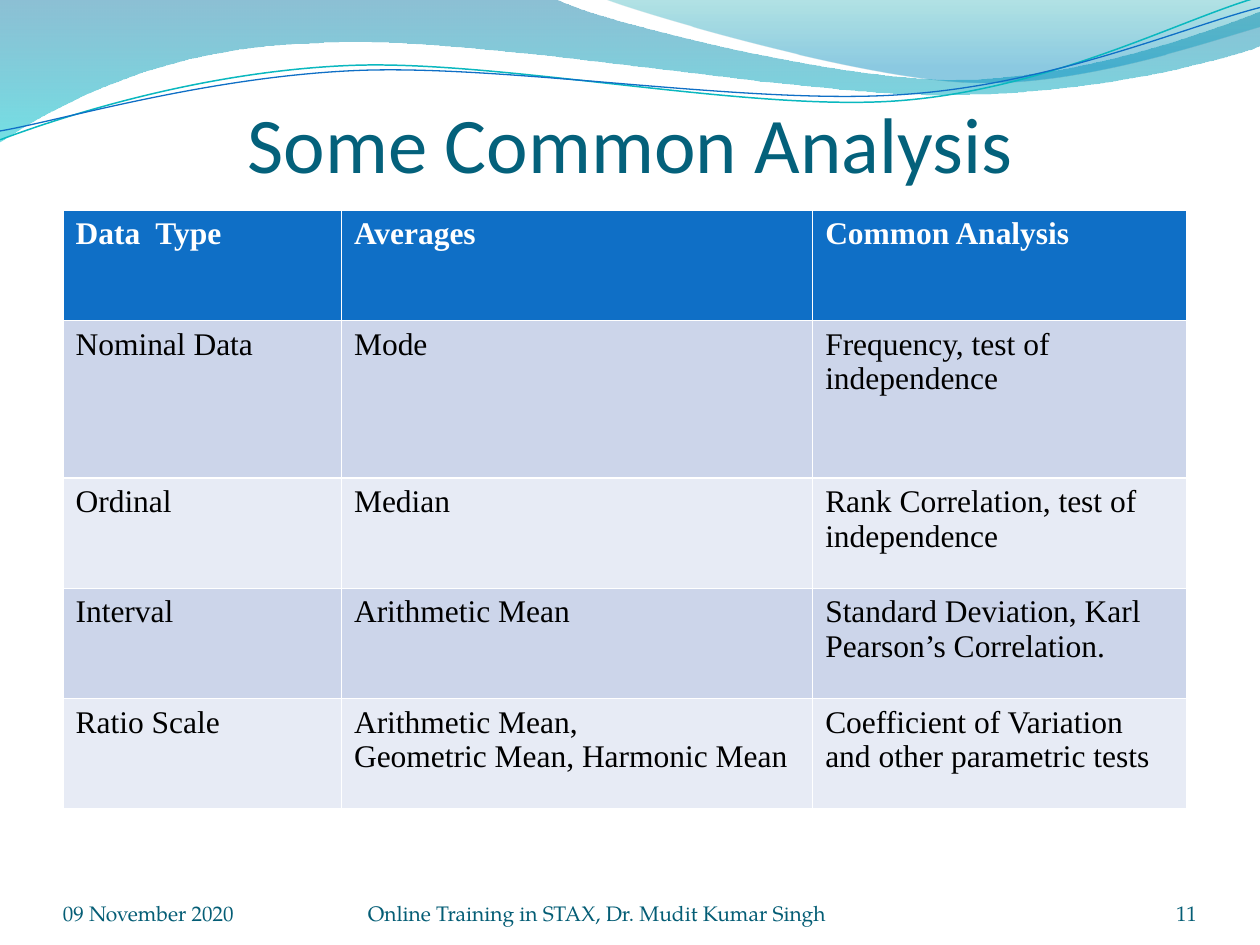
from dataclasses import dataclass
from math import cos, radians, sin

from lxml import etree
from pptx import Presentation
from pptx.dml.color import RGBColor
from pptx.enum.text import MSO_ANCHOR, PP_ALIGN
from pptx.oxml.ns import qn
from pptx.util import Inches, Pt

LEFT, CENTER, RIGHT = PP_ALIGN.LEFT, PP_ALIGN.CENTER, PP_ALIGN.RIGHT
BOTTOM = MSO_ANCHOR.BOTTOM


@dataclass(frozen=True)
class Theme:
    """Colours, fonts and type sizes of the deck."""
    title: str = "04617B"
    footer: str = "045D75"
    header: str = "0F6FC6"
    bands: tuple = ("CCD5EA", "E7EBF5")
    white: str = "FFFFFF"
    black: str = "000000"
    teal_line: str = "0AB8BF"
    blue_line: str = "0F6FC6"
    back_wave: tuple = ((0, "0074A1", 45), (1, "00C6CF", 55))
    front_wave: tuple = ((0, "00A1A9", 30), (0.8, "008BBF", 45))
    title_font: str = "Calibri"
    table_font: str = "Times New Roman"
    footer_font: str = "TeX Gyre Pagella"
    title_size: int = 45
    table_size: int = 18
    footer_size: int = 12


@dataclass(frozen=True)
class Box:
    """A region in inches."""
    left: float
    top: float
    width: float
    height: float

    def emu(self):
        """Return the region as lengths."""
        return [Inches(v) for v in (self.left, self.top, self.width, self.height)]


THEME = Theme()
TILT = 357.3
BACK_WAVE = [(0, 0), (4.4, -0.01), (4.76, 0.17, 6.64, 0.63, 7.58, 0.63),
             (8.53, 0.63, 9.58, 0.26, 10, 0.09), (10.01, 0.36),
             (9.83, 0.44, 8.7, 0.76, 7.46, 0.75),
             (6.22, 0.75, 3.82, 0.28, 2.57, 0.34),
             (1.29, 0.36, 0.46, 0.83, -0.01, 1.13), (0, 0)]
FRONT_WAVE = [(4.79, -0.01), (5.09, 0.11, 6.82, 0.62, 7.69, 0.65),
              (8.56, 0.69, 9.61, 0.32, 10, 0.21), (10, 0), (4.79, -0.01)]
TEAL_CURVE = [(0, 1.11), (0.48, 0.93, 1.58, 0.57, 2.77, 0.52),
              (3.95, 0.47, 5.93, 0.89, 7.13, 0.8),
              (8.33, 0.71, 9.38, 0.15, 9.98, -0.02)]
BLUE_CURVE = [(0, 1.04), (0.47, 0.96, 1.64, 0.61, 2.83, 0.56),
              (4.03, 0.51, 5.97, 0.84, 7.17, 0.75),
              (8.36, 0.67, 9.41, 0.21, 10, 0.06)]
COLUMNS = (2.21, 3.74, 2.97)
TALL_ROW = 1
TALL_HEIGHT = 1.25
ANALYSES = [
    ("Data  Type", "Averages", "Common Analysis"),
    ("Nominal Data", "Mode", "Frequency, test of independence"),
    ("Ordinal", "Median", "Rank Correlation, test of independence"),
    ("Interval", "Arithmetic Mean", "Standard Deviation, Karl Pearson’s Correlation."),
    ("Ratio Scale", "Arithmetic Mean,\nGeometric Mean, Harmonic Mean",
     "Coefficient of Variation and other parametric tests"),
]
FOOTERS = [(0, 2.33, "09 November 2020", LEFT),
           (2.42, 3.67, "Online Training in STAX, Dr. Mudit Kumar Singh", LEFT),
           (8.17, 0.83, "11", RIGHT)]


def rgb(code):
    """Turn a hex code into a colour."""
    return RGBColor.from_string(code)


def turn(segment, center, degrees):
    """Turn the points of a segment about a centre."""
    angle = radians(degrees)
    turned = []
    for x, y in zip(segment[::2], segment[1::2]):
        dx, dy = x - center[0], y - center[1]
        turned += [center[0] + dx * cos(angle) - dy * sin(angle),
                   center[1] + dx * sin(angle) + dy * cos(angle)]
    return turned


def add_outline(slide, box, outline, closed):
    """Draw lines and Bézier segments offset by the box and return the shape."""
    segments = [[Inches(v + (box.top if i % 2 else box.left)) for i, v in enumerate(segment)]
                for segment in outline]
    builder = slide.shapes.build_freeform(*segments[0])
    builder.add_line_segments([segment[-2:] for segment in segments[1:]], close=closed)
    shape = builder.convert_to_shape()
    shape.shadow.inherit = False
    lines = list(shape.element.spPr.iter(qn("a:lnTo")))
    for line, segment in zip(lines, segments[1:]):
        if len(segment) == 6:
            curve = etree.Element(qn("a:cubicBezTo"))
            for x, y in zip(segment[::2], segment[1::2]):
                etree.SubElement(curve, qn("a:pt"), x=str(x - shape.left), y=str(y - shape.top))
            line.getparent().replace(line, curve)
    return shape


def add_waves(slide, box):
    """Draw the shaded waves and the two thin curves."""
    for outline, stops in ((BACK_WAVE, THEME.back_wave), (FRONT_WAVE, THEME.front_wave)):
        wave = add_outline(slide, box, outline, True)
        wave.line.fill.background()
        wave.fill.gradient()
        wave.fill.gradient_angle = 270
        for stop, (position, color, _) in zip(wave.fill.gradient_stops, stops):
            stop.position = position
            stop.color.rgb = rgb(color)
        for node, (_, _, opacity) in zip(wave.element.spPr.iter(qn("a:srgbClr")), stops):
            etree.SubElement(node, qn("a:alpha"), val=str(opacity * 1000))
    for outline, center, color, weight in (
            (TEAL_CURVE, (4.99, 0.58), THEME.teal_line, 0.85),
            (BLUE_CURVE, (5, 0.59), THEME.blue_line, 0.75)):
        level = [turn(segment, center, -TILT) for segment in outline]
        curve = add_outline(slide, box, level, False)
        curve.rotation = TILT
        curve.fill.background()
        curve.line.color.rgb = rgb(color)
        curve.line.width = Pt(weight)


def add_run(paragraph, text, font, size, color, bold=False):
    """Append one styled run."""
    run = paragraph.add_run()
    run.text = text
    run.font.name = font
    run.font.size = Pt(size)
    run.font.color.rgb = rgb(color)
    run.font.bold = bold


def add_label(slide, box, text, font, size, color, align, inset_top=0):
    """Place a bottom-anchored line of text."""
    frame = slide.shapes.add_textbox(*box.emu()).text_frame
    frame.word_wrap = True
    frame.vertical_anchor = BOTTOM
    frame.margin_left = frame.margin_right = frame.margin_bottom = 0
    frame.margin_top = Inches(inset_top)
    frame.paragraphs[0].alignment = align
    add_run(frame.paragraphs[0], text, font, size, color)


def add_analysis_table(slide, box):
    """Build the table of data types, averages and analyses."""
    table = slide.shapes.add_table(len(ANALYSES), len(COLUMNS), *box.emu()).table
    for column, width in zip(table.columns, COLUMNS):
        column.width = Inches(width)
    short_height = (box.height - TALL_HEIGHT) / (len(ANALYSES) - 1)
    for r, texts in enumerate(ANALYSES):
        table.rows[r].height = Inches(TALL_HEIGHT if r == TALL_ROW else short_height)
        is_header = r == 0
        for c, text in enumerate(texts):
            cell = table.cell(r, c)
            cell.fill.solid()
            cell.fill.fore_color.rgb = rgb(THEME.header if is_header else THEME.bands[(r - 1) % 2])
            frame = cell.text_frame
            for i, line in enumerate(text.split("\n")):
                paragraph = frame.add_paragraph() if i else frame.paragraphs[0]
                add_run(paragraph, line, THEME.table_font, THEME.table_size,
                        THEME.white if is_header else THEME.black, is_header)


def add_footer(slide, box):
    """Place the date, course and page number."""
    for offset, width, text, align in FOOTERS:
        add_label(slide, Box(box.left + offset, box.top, width, box.height), text,
                  THEME.footer_font, THEME.footer_size, THEME.footer, align)


def main():
    """Build and save the slide."""
    deck = Presentation()
    deck.slide_width, deck.slide_height = Inches(10), Inches(7.5)
    slide = deck.slides.add_slide(deck.slide_layouts[6])
    add_waves(slide, Box(0, 0, 10, 1.13))
    add_label(slide, Box(0.5, 0.67, 9, 0.83), "Some Common Analysis", THEME.title_font,
              THEME.title_size, THEME.title, CENTER, 0.05)
    add_analysis_table(slide, Box(0.5, 1.67, sum(COLUMNS), 4.75))
    add_footer(slide, Box(0.5, 6.95, 9, 0.4))
    deck.save("out.pptx")


if __name__ == "__main__":
    main()
